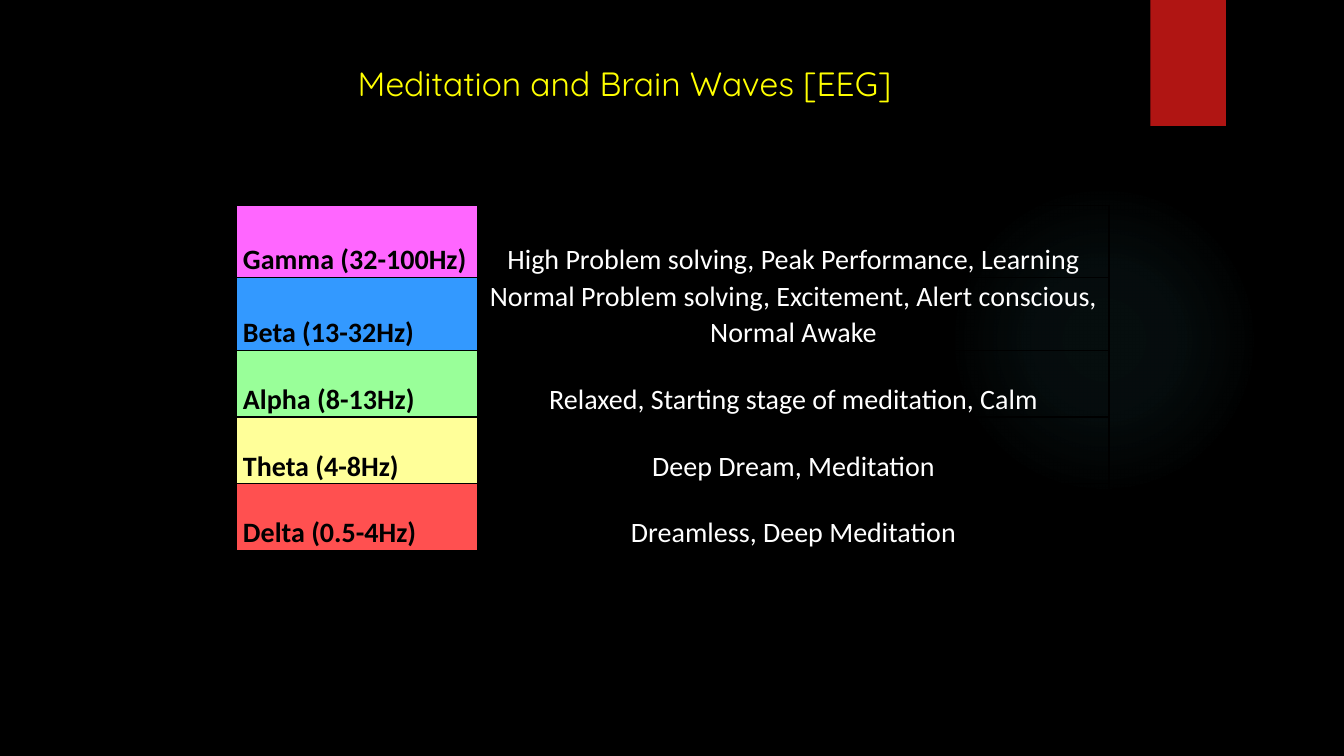
from dataclasses import dataclass

from lxml.etree import SubElement as Sub
from pptx import Presentation
from pptx.dml.color import RGBColor as RGB
from pptx.enum.shapes import MSO_SHAPE as Shape
from pptx.enum.text import MSO_ANCHOR as Anchor, PP_ALIGN as Align
from pptx.oxml.ns import qn
from pptx.util import Pt


@dataclass(frozen=True)
class Theme:
    black: str = "000000"
    white: str = "FFFFFF"
    title: str = "FFFF00"
    tab: str = "B01513"
    glow: str = "50B9C1"
    head: str = "Quicksand"
    body: str = "Calibri"
    big: int = 24
    mid: int = 20
    lead: float = 1.07


T = Theme()
PX = 9144  # 100 px to the inch
GLOW = [(0, 7), (36, 6), (69, 0), (100, 0)]  # position and opacity, percent
WAVES = [
    ("Gamma (32-100Hz)", "FF66FF", 71,
     "High Problem solving, Peak Performance, Learning"),
    ("Beta (13-32Hz)", "3399FF", 71,
     "Normal Problem solving, Excitement, Alert conscious, Normal Awake"),
    ("Alpha (8-13Hz)", "99FF99", 66,
     "Relaxed, Starting stage of meditation, Calm"),
    ("Theta (4-8Hz)", "FFFF99", 66, "Deep Dream, Meditation"),
    ("Delta (0.5-4Hz)", "FF5050", 66, "Dreamless, Deep Meditation"),
]


def px(*nums):
    return [n * PX for n in nums]


def rgb(code):
    return RGB.from_string(code)


def paint(fill, code):
    fill.solid()
    fill.fore_color.rgb = rgb(code)


def add_run(para, text, face, size, code, bold=False):
    run = para.add_run()
    run.text = text
    font = run.font
    font.name, font.size, font.bold = face, Pt(size), bold
    font.color.rgb = rgb(code)


def add_form(slide, kind, box):
    form = slide.shapes.add_shape(kind, *px(*box))
    form.shadow.inherit = False
    form.line.fill.background()
    return form


def add_glow(slide, box):
    """Draw a round glow that fades out from its centre."""
    form = add_form(slide, Shape.OVAL, box)
    form.fill.gradient()
    grad = form.fill._fill._gradFill
    for part in list(grad):
        grad.remove(part)
    stops = Sub(grad, qn("a:gsLst"))
    for pos, alpha in GLOW:
        stop = Sub(stops, qn("a:gs"), pos=str(pos * 1000))
        tint = Sub(stop, qn("a:srgbClr"), val=T.glow)
        Sub(tint, qn("a:alpha"), val=str(alpha * 1000))
    way = Sub(grad, qn("a:path"), path="circle")
    Sub(way, qn("a:fillToRect"), {side: "50000" for side in "ltrb"})


def add_tab(slide, box):
    paint(add_form(slide, Shape.RECTANGLE, box).fill, T.tab)


def add_title(slide, box):
    frame = slide.shapes.add_textbox(*px(*box)).text_frame
    frame.word_wrap = True
    add_run(frame.paragraphs[0], "Meditation and Brain Waves [EEG]",
            T.head, T.big, T.title)


def add_edges(cell):
    props = cell._tc.get_or_add_tcPr()
    for side in "LRTB":
        edge = Sub(props, qn(f"a:ln{side}"), w=str(Pt(1)))
        Sub(Sub(edge, qn("a:solidFill")), qn("a:srgbClr"), val=T.black)


def fill_cell(cell, text, code, bold, align):
    cell.vertical_anchor = Anchor.BOTTOM
    cell.margin_left = cell.margin_right = 7 * PX
    cell.margin_top = cell.margin_bottom = 0
    para = cell.text_frame.paragraphs[0]
    para.alignment, para.line_spacing = align, T.lead
    add_run(para, text, T.body, T.mid, code, bold)


def add_waves(slide, box):
    """Fill the table of wave bands and the states they go with."""
    table = slide.shapes.add_table(len(WAVES), 2, *px(*box)).table
    table.first_row = table.horz_banding = False
    name_w = 240
    for col, wide in zip(table.columns, px(name_w, box[2] - name_w)):
        col.width = wide
    for row, (name, tint, high, state) in zip(table.rows, WAVES):
        row.height = high * PX
        left, right = row.cells
        for cell in (left, right):
            add_edges(cell)
        paint(left.fill, tint)
        right.fill.background()
        fill_cell(left, name, T.black, True, Align.LEFT)
        fill_cell(right, state, T.white, False, Align.CENTER)


def main():
    deck = Presentation()
    deck.slide_width, deck.slide_height = px(1333, 750)
    slide = deck.slides.add_slide(deck.slide_layouts[6])
    paint(slide.background.fill, T.black)
    add_glow(slide, (941, 183, 308, 308))
    add_tab(slide, (1141, 0, 75, 125))
    add_waves(slide, (234, 204, 866, 340))
    add_title(slide, (345, 58, 577, 50))
    deck.save("out.pptx")


if __name__ == "__main__":
    main()
